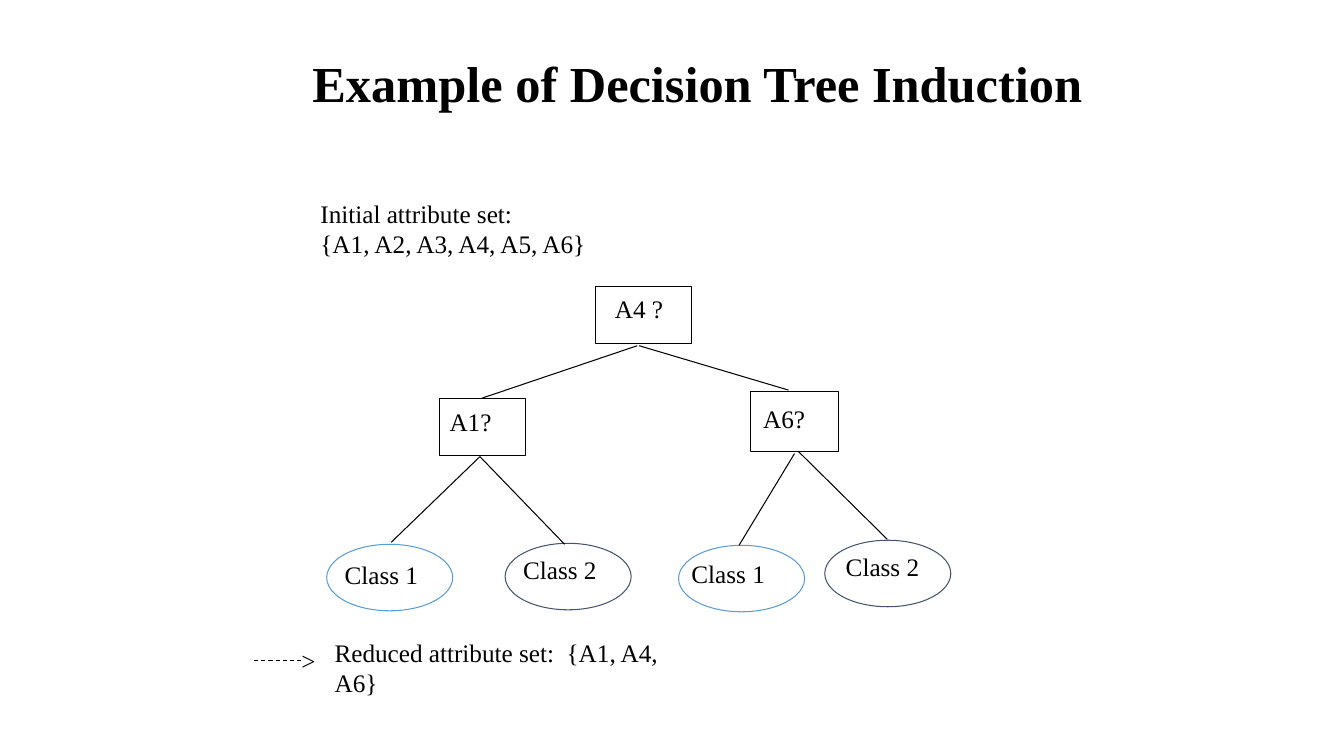
from lxml import etree
from pptx import Presentation
from pptx import util as u
from pptx.dml.color import RGBColor
from pptx.enum import dml, shapes, text
from pptx.oxml.ns import qn

PX = 9144  # EMU per px, 100 px to the inch
BLACK = RGBColor(0x00, 0x00, 0x00)
BLUE = RGBColor(0x5B, 0x9B, 0xD5)
SLATE = RGBColor(0x44, 0x54, 0x6A)
FONT = "Times New Roman"
LABEL_H = 40
LEAF_W, LEAF_H = 125, 66
RECT, OVAL = shapes.MSO_SHAPE.RECTANGLE, shapes.MSO_SHAPE.OVAL

# Kind, outline, box in the tree, label, label offset in the node, label width
NODES = [
    (RECT, BLACK, (267, 0, 95, 57), "A4 ?", (9, 2), 97),
    (RECT, BLACK, (112, 111, 85, 57), "A1?", (0, 3), 62),
    (RECT, BLACK, (420, 104, 88, 60), "A6?", (3, 7), 62),
    (OVAL, BLUE, (0, 256, LEAF_W, LEAF_H), "Class 1", (8, 10), 93),
    (OVAL, SLATE, (177, 255, LEAF_W, LEAF_H), "Class 2", (8, 6), 93),
    (OVAL, BLUE, (349, 257, LEAF_W, LEAF_H), "Class 1", (3, 8), 93),
    (OVAL, SLATE, (494, 252, LEAF_W, LEAF_H), "Class 2", (11, 6), 93),
]
# Branch ends in the tree
LINKS = [
    (308, 59, 154, 111),
    (310, 59, 458, 103),
    (152, 169, 64, 254),
    (152, 169, 236, 256),
    (464, 166, 409, 257),
    (468, 164, 556, 251),
]


def emu(*lengths):
    return [length * PX for length in lengths]


def add_text(parent, box, lines, size=18, bold=False, wrap=False):
    frame = parent.add_textbox(*emu(*box)).text_frame
    frame.word_wrap = wrap
    frame.auto_size = text.MSO_AUTO_SIZE.SHAPE_TO_FIT_TEXT
    frame.text = "\n".join(lines)
    for para in frame.paragraphs:
        font = para.font
        font.name, font.size, font.bold = FONT, u.Pt(size), bold
        font.color.rgb = BLACK


def add_node(parent, kind, color, box):
    node = parent.add_shape(kind, *emu(*box))
    node.shadow.inherit = False
    node.fill.background()
    node.line.color.rgb = color
    node.line.width = u.Pt(0.75)


def add_line(parent, ends, dash=None):
    link = parent.add_connector(shapes.MSO_CONNECTOR.STRAIGHT, *emu(*ends))
    link.line.color.rgb = BLACK
    link.line.width = u.Pt(0.75)
    if dash:
        link.line.dash_style = dash
    etree.SubElement(link._element.spPr, qn("a:effectLst"))


def draw_head(slide, left, top, width, height):
    add_text(slide.shapes, (left, top, width, height),
             ["Example of Decision Tree Induction"], 36, True, True)


def draw_start(slide, left, top, width, height):
    add_text(slide.shapes, (left, top, width, height),
             ["Initial attribute set:", "{A1, A2, A3, A4, A5, A6}"])


def draw_tree(slide, left, top):
    for kind, color, (x, y, w, h), label, (dx, dy), wide in NODES:
        x, y = left + x, top + y
        add_node(slide.shapes, kind, color, (x, y, w, h))
        add_text(slide.shapes, (x + dx, y + dy, wide, LABEL_H), [label],
                 wrap=wide > w)
    for x1, y1, x2, y2 in LINKS:
        add_line(slide.shapes, (left + x1, top + y1, left + x2, top + y2))


def draw_result(slide, left, top):
    # Dashed arrow with a typed head
    arrow = slide.shapes.add_group_shape().shapes
    add_line(arrow, (left, top + 28, left + 47, top + 28),
             dml.MSO_LINE.DASH)
    add_text(arrow, (left + 37, top + 8, 34, LABEL_H), [">"])
    # Reduced set
    add_text(slide.shapes, (left + 70, top, 388, LABEL_H),
             ["Reduced attribute set:  {A1, A4, A6}"])


def main():
    deck = Presentation()
    deck.slide_width, deck.slide_height = emu(1333, 750)
    slide = deck.slides.add_slide(deck.slide_layouts[6])
    draw_head(slide, 300, 47, 842, 70)
    draw_start(slide, 308, 192, 283, 70)
    draw_tree(slide, 324, 284)
    draw_result(slide, 252, 627)
    deck.save("out.pptx")


if __name__ == "__main__":
    main()
